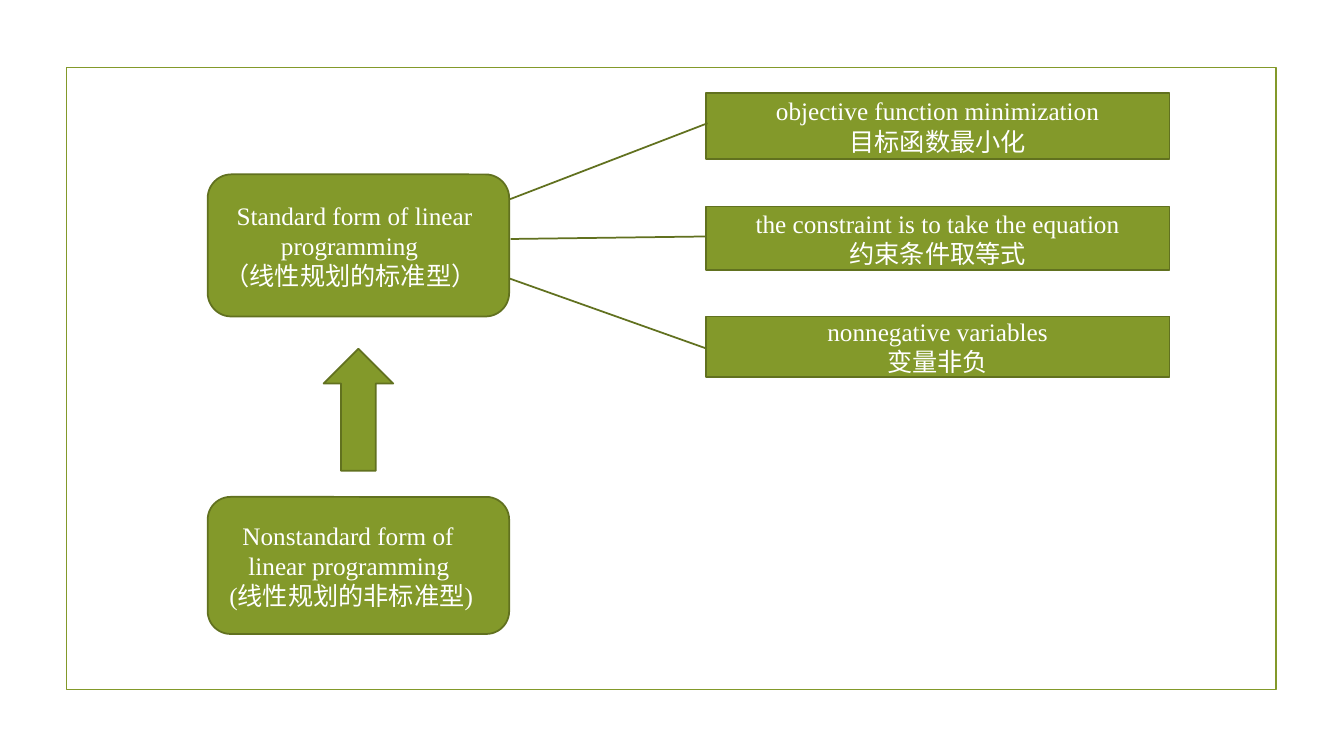
"""Build a slide on the standard form of linear programming."""
import pptx
import pptx.util
from pptx.dml.color import RGBColor
from pptx.enum.shapes import MSO_SHAPE
from pptx.enum.text import MSO_ANCHOR, PP_ALIGN
from pptx.util import Inches

OLIVE = RGBColor(0x83, 0x99, 0x2A)
DARK_OLIVE = RGBColor(0x61, 0x71, 0x1F)
WHITE = RGBColor(0xFF, 0xFF, 0xFF)
FONT = "Times New Roman"

FRAME = (0.66, 0.67, 12, 6.17)
ARROW = (3.21, 3.46, 0.69, 1.21)
FORM_LEFT, FORM_WIDTH = 2.06, 2.99
CONDITION_LEFT, CONDITION_WIDTH = 7, 4.6

FORMS = [
    (1.73, 1.41, [("Standard form of linear", 0.12),
                  ("programming", 0.56),
                  ("（线性规划的标准型）", 0)]),
    (4.93, 1.36, [("Nonstandard form of", 0.18),
                  ("linear programming", 0.24),
                  ("(线性规划的非标准型)", 0.05)]),
]
CONDITIONS = [
    (0.92, 0.66, (0.459, 0.004, 1.601, -0.422),
     ["objective function minimization", "目标函数最小化"]),
    (2.05, 0.63, (0.471, -0.002, 0.51, -0.421),
     ["the constraint is to take the equation", "约束条件取等式"]),
    (3.14, 0.6, (0.526, 0, -0.631, -0.424),
     ["nonnegative variables", "变量非负"]),
]


def add_box(slide, kind, box, fill=OLIVE, line=DARK_OLIVE):
    shape = slide.shapes.add_shape(kind, *map(Inches, box))
    shape.shadow.inherit = False
    if fill is None:
        shape.fill.background()
    else:
        shape.fill.solid()
        shape.fill.fore_color.rgb = fill
    shape.line.color.rgb = line
    shape.line.width = pptx.util.Pt(1.25)
    return shape


def write_lines(shape, lines, alignment):
    frame = shape.text_frame
    frame.word_wrap = True
    frame.vertical_anchor = MSO_ANCHOR.MIDDLE
    for index, (text, indent) in enumerate(lines):
        paragraph = frame.add_paragraph() if index else frame.paragraphs[0]
        paragraph.alignment = alignment
        if indent:
            paragraph._p.get_or_add_pPr().set("marL", str(Inches(indent)))
        run = paragraph.add_run()
        run.text = text
        run.font.name = FONT
        run.font.size = pptx.util.Pt(18)
        run.font.color.rgb = WHITE


def main():
    presentation = pptx.Presentation()
    presentation.slide_width = Inches(13.33)
    presentation.slide_height = Inches(7.5)
    slide = presentation.slides.add_slide(presentation.slide_layouts[6])

    add_box(slide, MSO_SHAPE.RECTANGLE, FRAME, fill=None, line=OLIVE)
    for top, height, lines in FORMS:
        form = add_box(slide, MSO_SHAPE.ROUNDED_RECTANGLE,
                       (FORM_LEFT, top, FORM_WIDTH, height))
        write_lines(form, lines, PP_ALIGN.LEFT)
    for top, height, leader, texts in CONDITIONS:
        condition = add_box(slide, MSO_SHAPE.LINE_CALLOUT_1,
                            (CONDITION_LEFT, top, CONDITION_WIDTH, height))
        for index, value in enumerate(leader):
            condition.adjustments[index] = value
        write_lines(condition, [(text, 0) for text in texts], PP_ALIGN.CENTER)
    add_box(slide, MSO_SHAPE.UP_ARROW, ARROW)

    presentation.save("out.pptx")


if __name__ == "__main__":
    main()
